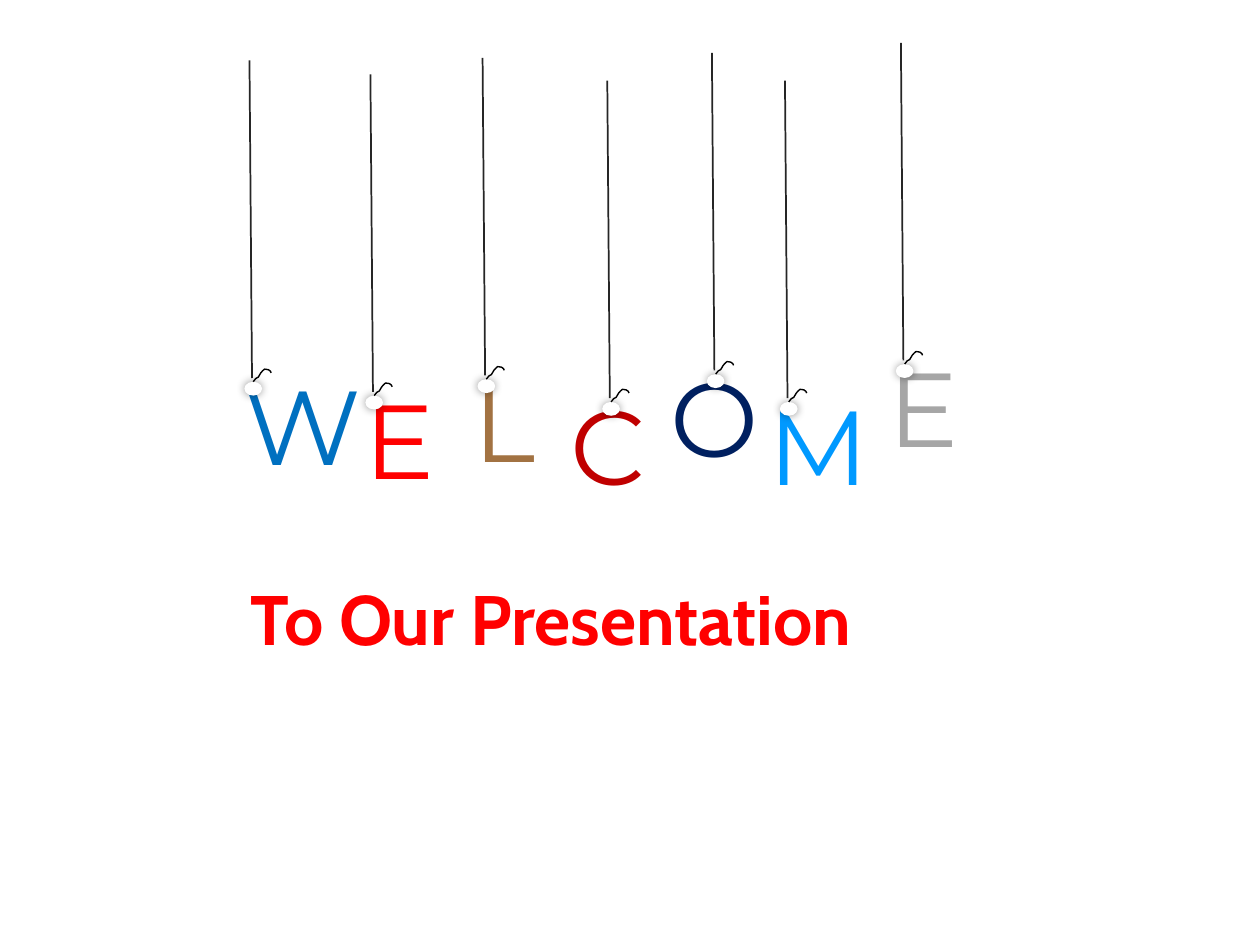
from pptx import Presentation
from pptx.dml.color import RGBColor
from pptx.enum.shapes import MSO_CONNECTOR, MSO_SHAPE
from pptx.enum.text import MSO_AUTO_SIZE, PP_ALIGN
from pptx.oxml import parse_xml
from pptx.oxml.ns import nsdecls
from pptx.util import Inches, Pt

STRAIGHT = MSO_CONNECTOR.STRAIGHT
ELLIPSE = MSO_SHAPE.OVAL
GROW = MSO_AUTO_SIZE.SHAPE_TO_FIT_TEXT
CENTER, LEFT = PP_ALIGN.CENTER, PP_ALIGN.LEFT

COLS, ROWS = 1000, 750
CELL = Inches(10) / COLS

COLORS = {
    "blue": "0070C0", "red": "FF0000", "brown": "A27242", "crimson": "C00000",
    "navy": "002060", "sky": "0099FF", "gray": "A6A6A6",
    "white": "FFFFFF", "string": "262626", "curl": "000000",
}
LETTER_FORMAT = {"name": "Montserrat", "size": Pt(60)}
TITLE_FORMAT = {"name": "Cabin", "size": Pt(40), "bold": True}

# letter, colour, box column, box row, knot column
LETTERS = [
    ("W", "blue", 184, 281, 194),
    ("E", "red", 267, 292, 290),
    ("L", "brown", 350, 279, 379),
    ("C", "crimson", 433, 297, 478),
    ("O", "navy", 517, 275, 561),
    ("M", "sky", 600, 297, 619),
    ("E", "gray", 683, 267, 711),
]
CURL = [(8, -10), (20, -25), (30, -31), (40, -36), (48, -50), (60, -70),
        (75, -87), (90, -100), (105, -98), (120, -95), (136, -84), (142, -70)]


def grid(*cells):
    """Turn grid cells into slide lengths."""
    return [round(c * CELL) for c in cells]


def rgb(key):
    """Look up a colour by its key."""
    return RGBColor.from_string(COLORS[key])


def add_effects(sp, content=""):
    """Set the effect list of a shape or connector."""
    xml = f'<a:effectLst {nsdecls("a")}>{content}</a:effectLst>'
    sp._element.spPr.append(parse_xml(xml))


def add_text(shapes, text, box, color, formats, align):
    """Add a one-line text box."""
    tf = shapes.add_textbox(*grid(*box)).text_frame
    tf.word_wrap = True
    tf.auto_size = GROW
    p = tf.paragraphs[0]
    p.alignment = align
    r = p.add_run()
    r.text = text
    r.font.color.rgb = rgb(color)
    for name, value in formats.items():
        setattr(r.font, name, value)


def add_knot(shapes, col, row):
    """Add the white knot with its soft shadow."""
    sp = shapes.add_shape(ELLIPSE, *grid(col, row, 14, 11))
    sp.fill.solid()
    sp.fill.fore_color.rgb = rgb("white")
    sp.line.fill.background()
    add_effects(sp, f'<a:outerShdw blurRad="{Pt(5)}" dist="0" dir="0" algn="ctr" '
                    'rotWithShape="0"><a:srgbClr val="000000"><a:alpha val="40000"/>'
                    '</a:srgbClr></a:outerShdw>')


def add_string(shapes, col, row):
    """Add the string that rises from the knot."""
    line = shapes.add_connector(STRAIGHT, *grid(col, row, col - 2, row - 252))
    line.line.color.rgb = rgb("string")
    line.line.width = Pt(1)
    add_effects(line)


def add_curl(shapes, col, row):
    """Add the loose end of the string."""
    builder = shapes.build_freeform(0, 0, scale=CELL / 10)
    builder.add_line_segments(CURL, close=False)
    sp = builder.convert_to_shape(*grid(col, row))
    sp.fill.background()
    sp.line.color.rgb = rgb("curl")
    sp.line.width = Pt(0.79)
    sp.shadow.inherit = False


def add_hanging_letter(s, letter, color, col, row, knot):
    """Add a letter hanging on its string as one group."""
    shapes = s.shapes.add_group_shape().shapes
    add_text(shapes, letter, (col, row, 100, 111), color, LETTER_FORMAT, CENTER)
    add_knot(shapes, knot, row + 22)
    add_string(shapes, knot + 6, row + 19)
    add_curl(shapes, knot + 7, row + 22)


def main():
    """Build the welcome slide."""
    prs = Presentation()
    prs.slide_width, prs.slide_height = grid(COLS, ROWS)
    s = prs.slides.add_slide(prs.slide_layouts[6])
    for letter in LETTERS:
        add_hanging_letter(s, *letter)
    add_text(s.shapes, "To Our Presentation", (189, 452, 575, 77), "red", TITLE_FORMAT, LEFT)
    prs.save("out.pptx")


if __name__ == "__main__":
    main()
